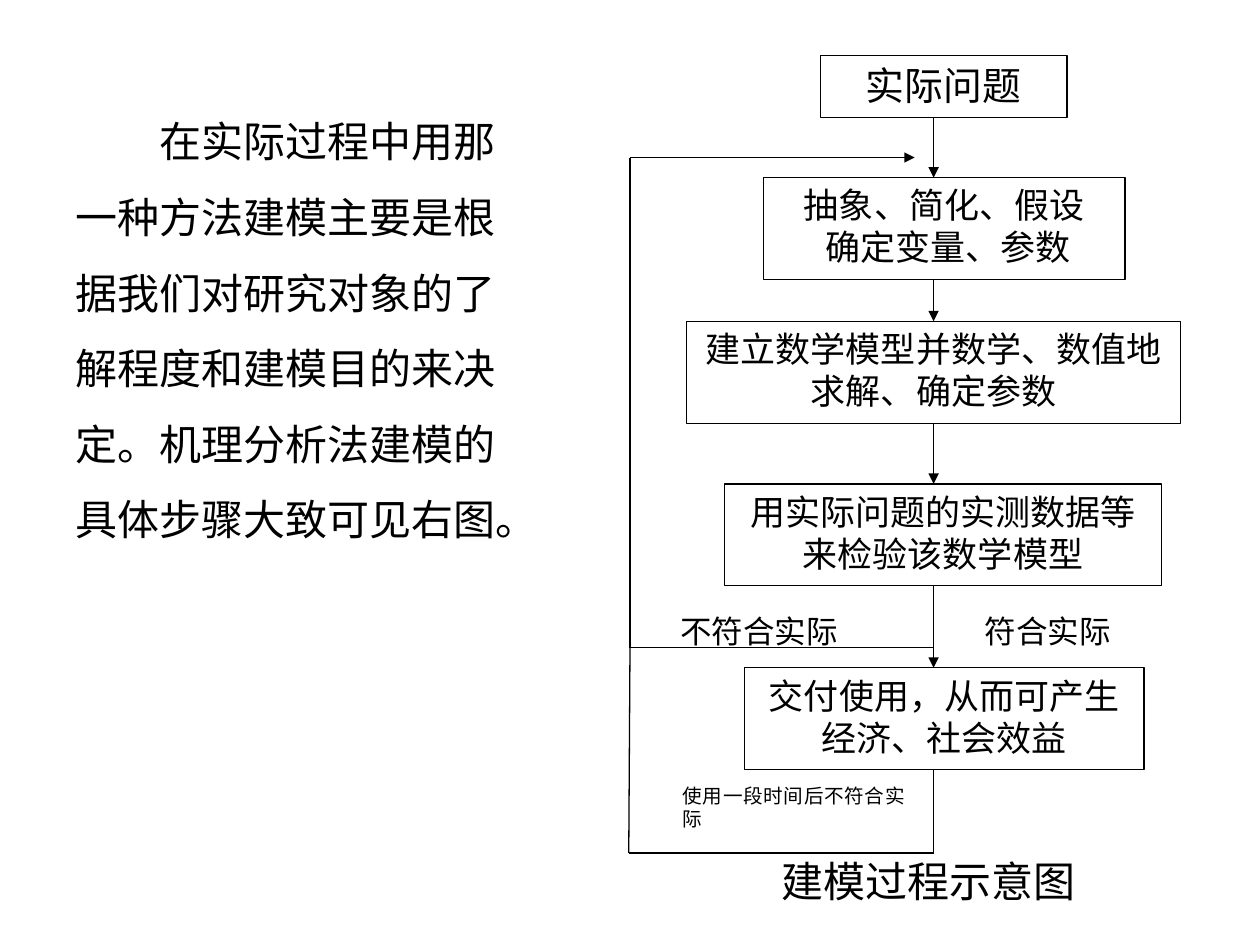
from dataclasses import dataclass
from itertools import pairwise
from lxml.etree import SubElement
from pptx import Presentation
from pptx.dml.color import RGBColor
from pptx.enum.shapes import MSO_CONNECTOR, MSO_SHAPE
from pptx.enum.text import MSO_ANCHOR, MSO_AUTO_SIZE, PP_ALIGN
from pptx.oxml.ns import qn
from pptx.util import Pt


@dataclass(frozen=True)
class Theme:
    ink: RGBColor = RGBColor(0, 0, 0)
    paper: RGBColor = RGBColor(255, 255, 255)
    font: str = "Times New Roman"
    cjk_font: str = "Noto Sans CJK SC"
    large: float = 24
    start: float = 22.2
    step: float = 20
    branch: float = 18
    note: float = 11.2
    line: float = 0.75


THEME = Theme()

EXPLANATION = (
    "在实际过程中用那一种方法建模主要是根据我们对研究对象的了解程度"
    "和建模目的来决定。机理分析法建模的具体步骤大致可见右图。"
)
CAPTION = "建模过程示意图"

STEPS = [
    (["实际问题"], (468.7, 31.7, 141.1, 35.3), THEME.start, THEME.font),
    (["抽象、简化、假设", " 确定变量、参数"], (436.3, 101.5, 206.6, 58.3), THEME.step, THEME.cjk_font),
    (["建立数学模型并数学、数值地求解、确定参数"], (392.4, 183.6, 282.2, 58.3), THEME.step, THEME.font),
    (["用实际问题的实测数据等来检验该数学模型"], (414, 276.5, 249.8, 58.3), THEME.step, THEME.font),
    (["交付使用，从而可产生经济、社会效益"], (425.5, 381.6, 228.2, 58.3), THEME.step, THEME.font),
]
LABELS = [
    ("符合实际", (555.8, 346.3, 119.5, 35.3), THEME.branch),
    ("不符合实际", (381.6, 346.3, 141.1, 35.3), THEME.branch),
    ("使用一段时间后不符合实际", (383, 444.2, 141.1, 34.6), THEME.note),
]

AXIS = 533.5
RETURN_X = 360
RETURN_END = 522.7
RETURN_Y = 90
REJECT_Y = 370.1
LATER_X = 359.3
LATER_Y = 487.4


def format_text(frame, lines, size, font=THEME.font, align=PP_ALIGN.LEFT):
    frame.word_wrap = True
    frame.auto_size = MSO_AUTO_SIZE.NONE
    frame.vertical_anchor = MSO_ANCHOR.TOP
    frame.text = "\n".join(lines)
    for paragraph in frame.paragraphs:
        paragraph.alignment = align
        paragraph.font.name = font
        paragraph.font.size = Pt(size)
        paragraph.font.color.rgb = THEME.ink


def place(placeholder, left, top, width, height):
    placeholder.left, placeholder.top = Pt(left), Pt(top)
    placeholder.width, placeholder.height = Pt(width), Pt(height)


def add_box(slide, lines, bounds, size, border, font=THEME.font, align=PP_ALIGN.CENTER):
    box = slide.shapes.add_shape(MSO_SHAPE.RECTANGLE, *map(Pt, bounds))
    box.shadow.inherit = False
    box.fill.solid()
    box.fill.fore_color.rgb = THEME.paper
    box.line.color.rgb = border
    box.line.width = Pt(THEME.line)
    format_text(box.text_frame, lines, size, font, align)


def add_line(slide, start, end, arrow=False):
    line = slide.shapes.add_connector(MSO_CONNECTOR.STRAIGHT, *map(Pt, start + end))
    line.line.color.rgb = THEME.ink
    line.line.width = Pt(THEME.line)
    if arrow:
        SubElement(line.line._get_or_add_ln(), qn("a:tailEnd"), type="triangle")
    SubElement(line._element.spPr, qn("a:effectLst"))


def add_explanation(slide):
    body = slide.placeholders[1]
    place(body, 36, 48.2, 257.8, 309.6)
    format_text(body.text_frame, [EXPLANATION], THEME.large)
    paragraph = body.text_frame.paragraphs[0]
    paragraph.line_spacing = 1.5
    paragraph.space_before = Pt(0)
    properties = paragraph._p.get_or_add_pPr()
    properties.set("marL", "0")
    properties.set("indent", str(Pt(48)))
    SubElement(properties, qn("a:buNone"))
    properties.append(properties.find(qn("a:defRPr")))


def add_caption(slide):
    caption = slide.shapes.title
    place(caption, 439.2, 485.3, 203.8, 36)
    format_text(caption.text_frame, [CAPTION], THEME.large)


def add_flow(slide):
    for text, bounds, size in LABELS:
        add_box(slide, [text], bounds, size, THEME.paper, align=PP_ALIGN.JUSTIFY)
    for lines, bounds, size, font in STEPS:
        add_box(slide, lines, bounds, size, THEME.ink, font)

    for (_, upper, *_), (_, lower, *_) in pairwise(STEPS):
        add_line(slide, (AXIS, upper[1] + upper[3]), (AXIS, lower[1]), arrow=True)

    delivery = STEPS[-1][1]
    feedback = [
        (AXIS, delivery[1] + delivery[3]),
        (AXIS, LATER_Y),
        (LATER_X, LATER_Y),
        (RETURN_X, REJECT_Y),
        (RETURN_X, RETURN_Y),
        (RETURN_END, RETURN_Y),
    ]
    for start, end in pairwise(feedback):
        add_line(slide, start, end, arrow=end == feedback[-1])
    add_line(slide, (AXIS, REJECT_Y), (RETURN_X, REJECT_Y))


def main():
    presentation = Presentation()
    presentation.slide_width, presentation.slide_height = Pt(720), Pt(540)
    slide = presentation.slides.add_slide(presentation.slide_layouts[1])
    add_explanation(slide)
    add_caption(slide)
    add_flow(slide)
    presentation.save("out.pptx")


if __name__ == "__main__":
    main()
